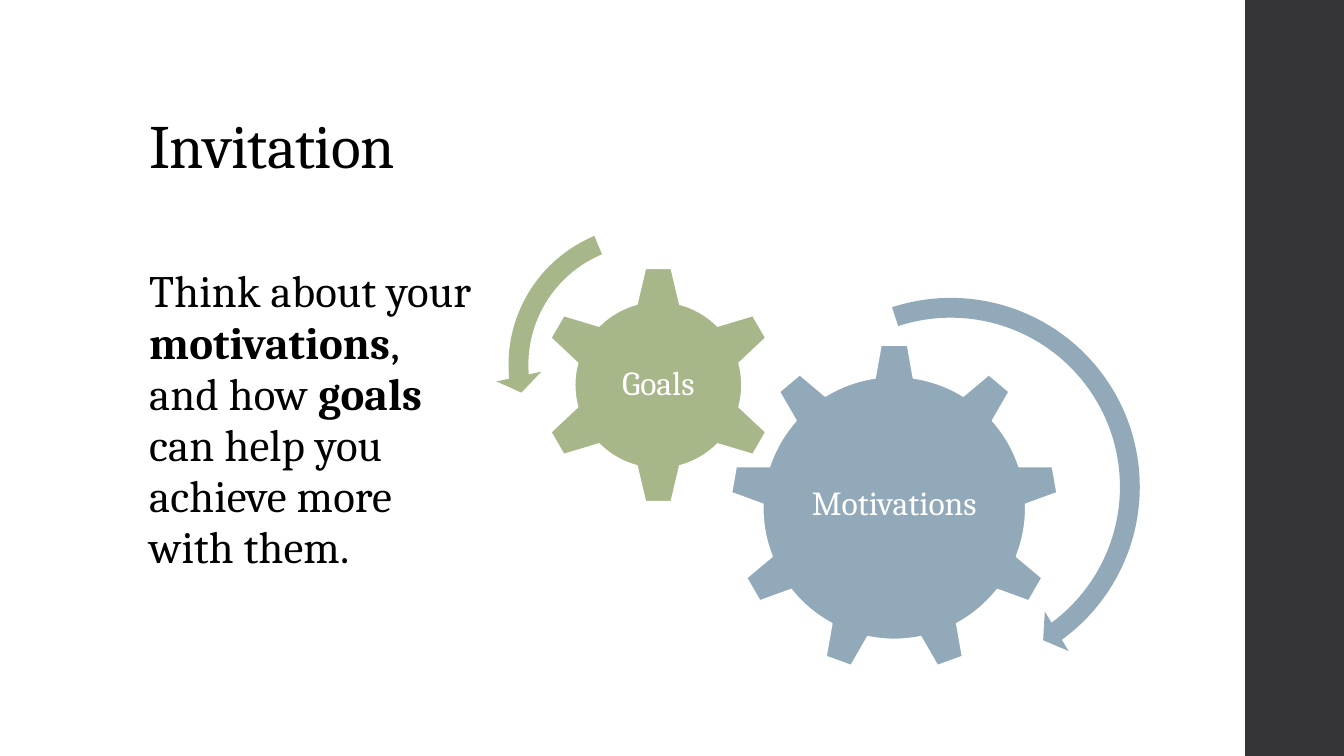
from pptx import Presentation
from pptx.dml.color import RGBColor
from pptx.enum.shapes import MSO_SHAPE as Shape
from pptx.enum.text import MSO_ANCHOR as Anchor, MSO_AUTO_SIZE as AutoSize, PP_ALIGN as Align
from pptx.util import Inches, Pt

TITLE = "Invitation"
MESSAGE = [
    ("Think about your ", False),
    ("motivations", True),
    (", and how ", False),
    ("goals", True),
    (" can help you achieve more with them.", False),
]
GEARS = [
    dict(label="Motivations", color="steel", gear=Shape.GEAR_9, center=(8.87, 5.04), size=3.26,
         arrow=Shape.CIRCULAR_ARROW, arrow_center=(9.43, 4.83), arrow_size=4.01,
         arrow_percent=(4.9, 312.6, 3224.4, 15113.7, 5.7)),
    dict(label="Goals", color="sage", gear=Shape.GEAR_6, center=(6.53, 3.82), size=2.37,
         arrow=Shape.LEFT_CIRCULAR_ARROW, arrow_center=(6.43, 3.62), arrow_size=3.03,
         arrow_percent=(6.5, 430, 10489.1, 14837.8, 7.5)),
]
THEME = dict(
    font="Cambria", title=44, body=32, label=24,
    ink="000000", white="FFFFFF", bar="353537", steel="92A9B9", sage="A7B789",
)
WIDTH, HEIGHT = 13.33, 7.5
BAR_LEFT, TEXT_LEFT = 12.35, 1.38


def color(name):
    return RGBColor.from_string(THEME[name])


def style(run, role, ink, bold=False, spacing=0):
    run.font.name = THEME["font"]
    run.font.size = Pt(THEME[role])
    run.font.color.rgb = color(ink)
    run.font.bold = bold
    if spacing:
        run.font._element.set("spc", str(spacing))


def place(part, left, top, width, height):
    part.left, part.top, part.width, part.height = map(Inches, (left, top, width, height))


def add_filled(preset, left, top, width, height, fill):
    part = slide.shapes.add_shape(preset, *map(Inches, (left, top, width, height)))
    part.shadow.inherit = False
    part.fill.solid()
    part.fill.fore_color.rgb = color(fill)
    part.line.fill.background()
    return part


def add_centered(preset, center, size, fill):
    left, top = (middle - size / 2 for middle in center)
    return add_filled(preset, left, top, size, size, fill)


deck = Presentation()
deck.slide_width, deck.slide_height = Inches(WIDTH), Inches(HEIGHT)
slide = deck.slides.add_slide(deck.slide_layouts[1])

add_filled(Shape.RECTANGLE, BAR_LEFT, 0, WIDTH - BAR_LEFT, HEIGHT, "bar")

title = slide.shapes.title
place(title, TEXT_LEFT, 0.4, 10.6, 1.45)
title.text_frame.text = TITLE
title.text_frame.auto_size = AutoSize.NONE
title.text_frame.vertical_anchor = Anchor.BOTTOM
heading = title.text_frame.paragraphs[0]
heading.alignment, heading.line_spacing = Align.LEFT, 0.9
style(heading.runs[0], "title", "ink", spacing=-50)

body = slide.placeholders[1]
place(body, TEXT_LEFT, 2, 3.42, 4.76)
body.text_frame.auto_size = AutoSize.NONE
body.text_frame.vertical_anchor = Anchor.TOP
body.text_frame.margin_top = Inches(0.65)
message = body.text_frame.paragraphs[0]
message.line_spacing, message.space_before, message.space_after = 0.95, Pt(0), Pt(2)
bullet = message._p.get_or_add_pPr()
bullet.set("marL", "0")
bullet.set("indent", "0")
bullet.append(bullet.makeelement(
    "{http://schemas.openxmlformats.org/drawingml/2006/main}buNone", {}))
for words, bold in MESSAGE:
    run = message.add_run()
    run.text = words
    style(run, "body", "ink", bold, spacing=10)

for item in GEARS:
    gear = add_centered(item["gear"], item["center"], item["size"], item["color"])
    gear.line.color.rgb = color("white")
    gear.line.width = Pt(1.1)
    frame = gear.text_frame
    frame.text = item["label"]
    frame.word_wrap = False
    frame.vertical_anchor = Anchor.MIDDLE
    frame.margin_left = frame.margin_right = frame.margin_top = frame.margin_bottom = Inches(0.03)
    label = frame.paragraphs[0]
    label.alignment, label.line_spacing = Align.CENTER, 0.9
    style(label.runs[0], "label", "white")

    arrow = add_centered(item["arrow"], item["arrow_center"], item["arrow_size"], item["color"])
    for index, percent in enumerate(item["arrow_percent"]):
        arrow.adjustments[index] = percent / 100

deck.save("out.pptx")
